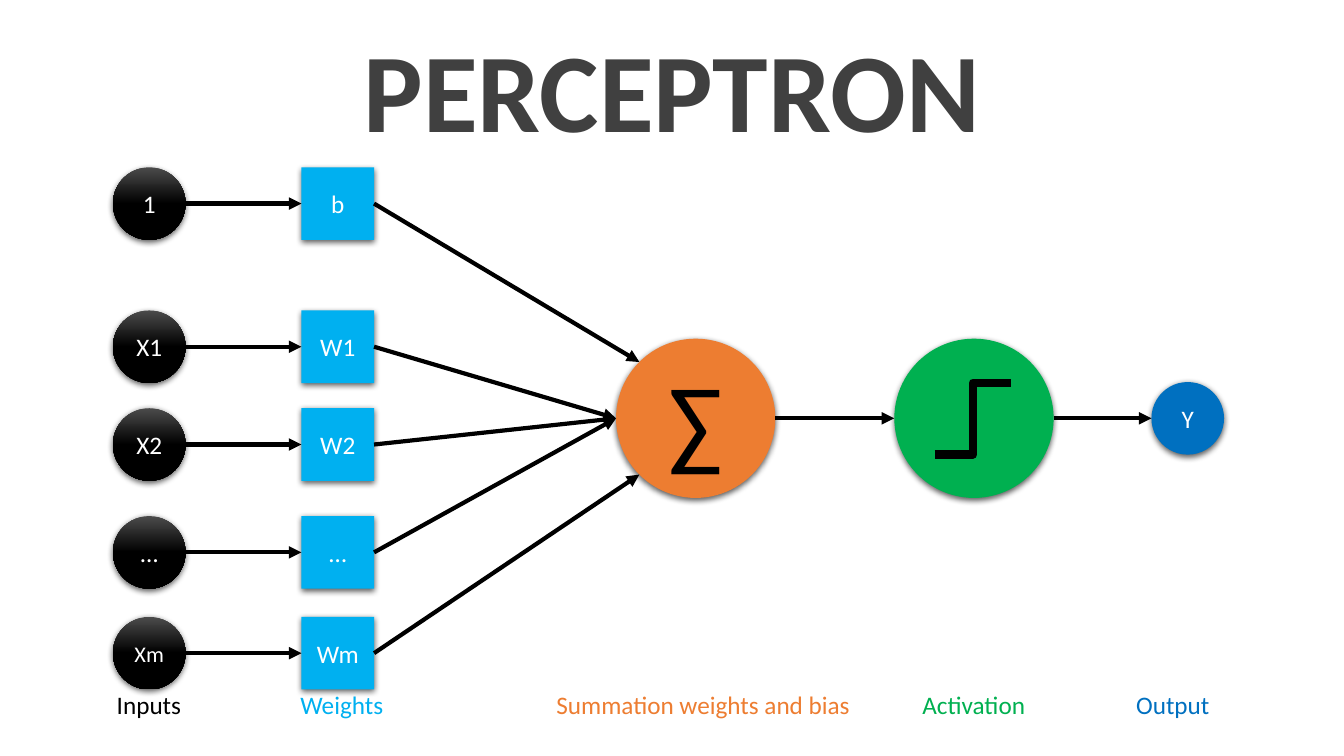
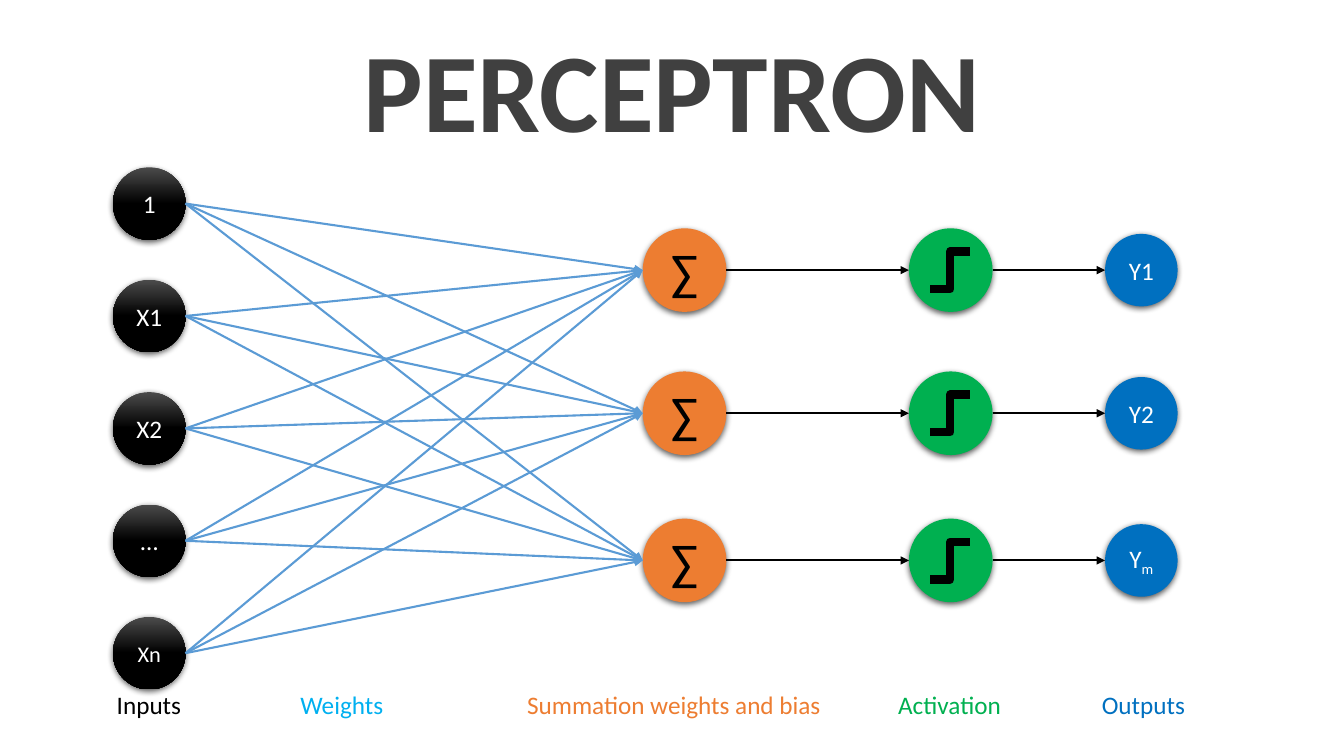
from copy import deepcopy
from math import cos, pi

from lxml.etree import SubElement
from pptx import Presentation
from pptx.dml.color import RGBColor
from pptx.enum.shapes import MSO_CONNECTOR, MSO_SHAPE
from pptx.enum.text import MSO_ANCHOR, MSO_AUTO_SIZE, PP_ALIGN
from pptx.oxml.ns import qn
from pptx.util import Inches, Pt

# Content
TITLE = "PERCEPTRON"
SINGLE_INPUTS = [("1", 18), ("X1", 18), ("X2", 18), ("…", 18), ("Xm", 16)]
SINGLE_WEIGHTS = ["b", "W1", "W2", "…", "Wm"]
LAYER_INPUTS = [("1", 18), ("X1", 18), ("X2", 18), ("…", 18), ("Xn", 16)]
LAYER_OUTPUTS = [("Y1", ""), ("Y2", ""), ("Y", "m")]
SUM = "∑"

# Shared look
FONT = "Calibri"
BLACK, WHITE, TITLE_GRAY = "000000", "FFFFFF", "404040"
SKY, ORANGE, GREEN, BLUE, LINK = "00B0F0", "ED7D31", "00B050", "0070C0", "5B9BD5"

# Captions: text, colour, left, width
SHARED_CAPTIONS = [("Inputs", BLACK, 1.06, 0.84), ("Weights", SKY, 2.88, 1.03)]
SINGLE_CAPTIONS = SHARED_CAPTIONS + [
    ("Summation weights and bias", ORANGE, 5.42, 3.15),
    ("Activation", GREEN, 9.05, 1.23),
    ("Output", BLUE, 11.17, 0.94),
]
LAYER_CAPTIONS = SHARED_CAPTIONS + [
    ("Summation weights and bias", ORANGE, 5.13, 3.15),
    ("Activation", GREEN, 8.81, 1.23),
    ("Outputs", BLUE, 10.83, 1.03),
]

# Grid: column centres, row centres and node sizes in inches
SLIDE_WIDTH, SLIDE_HEIGHT = 13.33, 7.5
NODE = 0.72
INPUT_X, WEIGHT_X = 1.48, 3.35
FIRST_ROW, LAST_ROW = 2.02, 6.48
SINGLE_ROWS = [FIRST_ROW, 3.44, 4.41, 5.48, LAST_ROW]
ROW_STEP = (LAST_ROW - FIRST_ROW) / (len(LAYER_INPUTS) - 1)
LAYER_ROWS = [FIRST_ROW + ROW_STEP * row for row in range(len(LAYER_INPUTS))]
NEURON_ROWS = [2.68, 4.10, 5.56]
CAPTION_TOP, CAPTION_HEIGHT = 6.79, 0.4

deck = Presentation()
deck.slide_width, deck.slide_height = Inches(SLIDE_WIDTH), Inches(SLIDE_HEIGHT)


def rgb(value):
    return RGBColor.from_string(value)


def style(para, size, color, bold=False):
    para.font.name, para.font.size, para.font.bold = FONT, Pt(size), bold
    para.font.color.rgb = rgb(color)


def add_page(captions):
    page = deck.slides.add_slide(deck.slide_layouts[5])
    title = page.shapes.title
    width = 6.38
    title.left, title.top = Inches((SLIDE_WIDTH - width) / 2), Inches(0.15)
    title.width, title.height = Inches(width), Inches(1.45)
    frame = title.text_frame
    frame.text = TITLE
    frame.word_wrap, frame.auto_size = False, MSO_AUTO_SIZE.NONE
    frame.vertical_anchor = MSO_ANCHOR.TOP
    frame.paragraphs[0].alignment = PP_ALIGN.CENTER
    style(frame.paragraphs[0], 80, TITLE_GRAY, bold=True)

    for text, color, left, width in captions:
        box = page.shapes.add_textbox(Inches(left), Inches(CAPTION_TOP),
                                      Inches(width), Inches(CAPTION_HEIGHT))
        box.text_frame.word_wrap = False
        box.text_frame.text = text
        style(box.text_frame.paragraphs[0], 18, color)
    return page


def add_shadow(shape):
    shape.shadow.inherit = False
    effects = shape._element.spPr.find(qn("a:effectLst"))
    outer = SubElement(effects, qn("a:outerShdw"), blurRad=str(Pt(4.5)),
                       dist=str(Pt(1.5)), dir="5400000", algn="ctr", rotWithShape="0")
    color = SubElement(outer, qn("a:srgbClr"), val=BLACK)
    SubElement(color, qn("a:alpha"), val="63000")


def shade_black(shape):
    fill = shape.fill
    fill.gradient()
    fill.gradient_angle = 270
    for stop, color, position in zip(fill.gradient_stops, ("4B4B4B", BLACK), (0, 0.5)):
        stop.color.rgb, stop.position = rgb(color), position
    stops = shape._element.spPr.find(".//" + qn("a:gsLst"))
    last = deepcopy(stops[-1])
    last.set("pos", "100000")
    stops.append(last)


def add_node(shapes, x, y, fill, text="", size=18, color=WHITE, side=NODE,
             kind=MSO_SHAPE.OVAL, subscript=""):
    """Place a shadowed node by its centre."""
    node = shapes.add_shape(kind, Inches(x - side / 2), Inches(y - side / 2),
                            Inches(side), Inches(side))
    add_shadow(node)
    node.line.fill.background()
    if fill == BLACK:
        shade_black(node)
    else:
        node.fill.solid()
        node.fill.fore_color.rgb = rgb(fill)
    if text:
        node.text_frame.vertical_anchor = MSO_ANCHOR.MIDDLE
        para = node.text_frame.paragraphs[0]
        para.alignment = PP_ALIGN.CENTER
        para.add_run().text = text
        style(para, size, color)
        if subscript:
            span = para.add_run()
            span.text = subscript
            span._r.get_or_add_rPr().set("baseline", "-25000")


def add_line(shapes, start, end, width, color=BLACK, kind=MSO_CONNECTOR.STRAIGHT, arrow=True):
    line = shapes.add_connector(kind, *[Inches(value) for value in (*start, *end)])
    line.line.color.rgb, line.line.width = rgb(color), Pt(width)
    if arrow:
        SubElement(line.get_or_add_ln(), qn("a:tailEnd"), type="triangle")
    SubElement(line._element.spPr, qn("a:effectLst"))


def add_activation(page, x, y, side):
    """Draw a circle with a step function inside it."""
    group = page.shapes.add_group_shape()
    add_node(group.shapes, x, y, GREEN, side=side)
    left, top = x - side / 2, y - side / 2
    add_line(group.shapes, (left + 0.253 * side, top + 0.727 * side),
             (left + 0.735 * side, top + 0.277 * side), 6,
             kind=MSO_CONNECTOR.ELBOW, arrow=False)


def add_neuron(page, y, columns, side, sum_size, width, label, subscript=""):
    """Draw a row of sum, activation and output with arrows between them."""
    sum_x, step_x, output_x = columns
    add_node(page.shapes, sum_x, y, ORANGE, SUM, sum_size, BLACK, side)
    add_activation(page, step_x, y, side)
    add_node(page.shapes, output_x, y, BLUE, label, subscript=subscript)
    add_line(page.shapes, (sum_x + side / 2, y), (step_x - side / 2, y), width)
    add_line(page.shapes, (step_x + side / 2, y), (output_x - NODE / 2, y), width)


# Single neuron
page = add_page(SINGLE_CAPTIONS)
sum_x, sum_y, sum_side = 6.9, 4.15, 1.58
add_neuron(page, sum_y, (sum_x, 9.66, 11.78), sum_side, 72, 3, "Y")
radius = sum_side / 2
diagonal = radius * cos(pi / 4)
side_entry = (sum_x - radius, sum_y)
entries = [(sum_x - diagonal, sum_y - diagonal), side_entry, side_entry, side_entry,
           (sum_x - diagonal, sum_y + diagonal)]
for (name, size), weight, y, entry in zip(SINGLE_INPUTS, SINGLE_WEIGHTS, SINGLE_ROWS, entries):
    add_node(page.shapes, INPUT_X, y, BLACK, name, size)
    add_node(page.shapes, WEIGHT_X, y, SKY, weight, kind=MSO_SHAPE.RECTANGLE)
    add_line(page.shapes, (INPUT_X + NODE / 2, y), (WEIGHT_X - NODE / 2, y), 3)
    add_line(page.shapes, (WEIGHT_X + NODE / 2, y), entry, 3)

# Layer of neurons
page = add_page(LAYER_CAPTIONS)
layer_columns, layer_side = (6.79, 9.43, 11.32), 0.83
for y, (label, subscript) in zip(NEURON_ROWS, LAYER_OUTPUTS):
    add_neuron(page, y, layer_columns, layer_side, 36, 1.5, label, subscript)
for (name, size), y in zip(LAYER_INPUTS, LAYER_ROWS):
    add_node(page.shapes, INPUT_X, y, BLACK, name, size)
    for neuron_y in NEURON_ROWS:
        add_line(page.shapes, (INPUT_X + NODE / 2, y),
                 (layer_columns[0] - layer_side / 2, neuron_y), 1.5, LINK)

deck.save("out.pptx")
